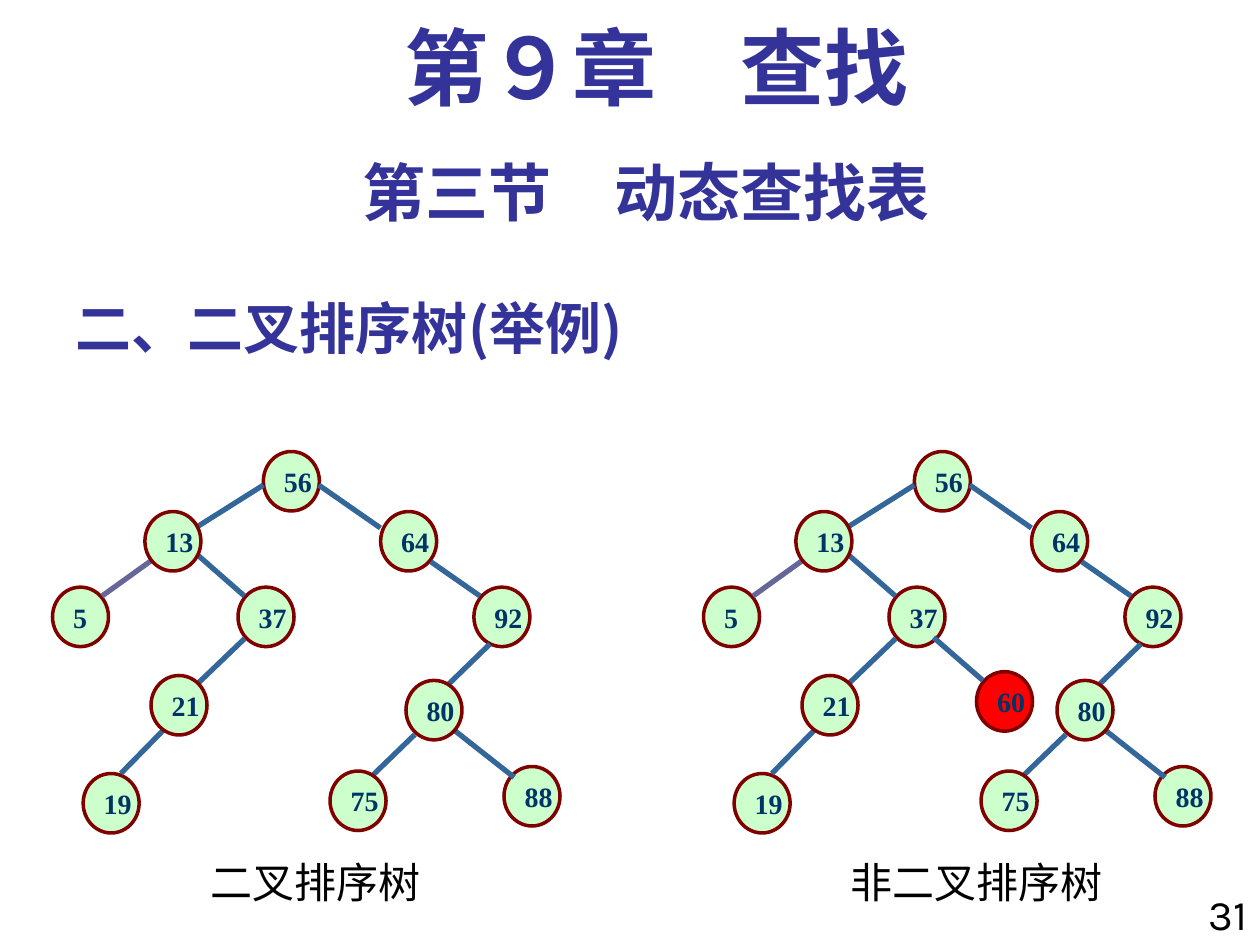
import dataclasses
import typing

import pptx
import pptx.dml.color
import pptx.enum.shapes
import pptx.enum.text
import pptx.oxml.ns
import pptx.util
from lxml import etree

Pt = pptx.util.Pt
Align = pptx.enum.text.PP_ALIGN
Anchor = pptx.enum.text.MSO_ANCHOR
qn = pptx.oxml.ns.qn

HUES = {
    "head": "333399",
    "text": "000000",
    "node": "CCFFCC",
    "wrong": "FF0000",
    "rim": "800000",
    "key": "003366",
    "edge": "336699",
    "pale": "666699",
}
HAN = "Noto Sans CJK SC"
NODE_W, NODE_H = 32, 34
SHIFT = 372


@dataclasses.dataclass(frozen=True)
class Node:
    key: str
    x: float
    y: float
    hue: str = "node"


@dataclasses.dataclass(frozen=True)
class Edge:
    x1: float
    y1: float
    x2: float
    y2: float
    hue: str = "edge"


@dataclasses.dataclass(frozen=True)
class Label:
    text: str
    x: float
    y: float
    w: float
    h: float
    form: dict[str, typing.Any]


BACK = [
    Node("56", 150.5, 258),
    Node("64", 217.5, 292.3),
    Node("5", 30, 335.5),
    Node("92", 270.8, 335.5),
    Node("37", 136, 335.5),
    Node("88", 288, 438),
    Node("19", 47.5, 442),
]
FRONT = [
    Node("80", 232, 388.8),
    Node("21", 86.3, 386),
    Node("13", 82.8, 292.3),
    Node("75", 188.6, 440.6),
]
EDGES = [
    Edge(150.5, 277.2, 111.6, 301.7),
    Edge(86.4, 320.4, 58.3, 340.6, "pale"),
    Edge(182.2, 277.2, 217.4, 301.7),
    Edge(111.6, 316, 139.7, 340.6),
    Edge(139.7, 365, 105.1, 398.2),
    Edge(246.2, 321, 274.3, 340.6),
    Edge(280, 368, 253.4, 393.8),
    Edge(260, 417.6, 293.8, 444.2),
    Edge(97.2, 413.3, 69.1, 442),
    Edge(237, 419.8, 210.2, 445.7),
]
WRONG_NODE = Node("60", 186, 383.8, "wrong")
WRONG_EDGE = Edge(161.5, 364.3, 189.6, 388.8)

CAPTION = {"size": 24, "align": Align.CENTER}
LABELS = [
    Label("31", 672, 504, 48, 42, {"size": 24, "align": Align.RIGHT}),
    Label("第三节　动态查找表", 36, 84, 666, 50,
          {"size": 36, "hue": "head", "bold": True, "align": Align.CENTER}),
    Label("第９章　查找", 48, 12, 654, 60,
          {"size": 48, "hue": "head", "bold": True, "align": Align.CENTER,
           "font": "Times New Roman", "space": 0.9}),
    Label("二叉排序树", 96, 486, 168, 36, CAPTION),
    Label("非二叉排序树", 474, 486, 168, 36, CAPTION),
]


def rgb(hue: str) -> pptx.dml.color.RGBColor:
    return pptx.dml.color.RGBColor.from_string(HUES[hue])


def write(shape: typing.Any, text: str, *, size: float, font: str = "Karla",
          hue: str = "text", bold: bool = False, align: Align = Align.LEFT,
          anchor: Anchor = Anchor.TOP, wrap: bool = True,
          space: float = 1.0) -> None:
    frame = shape.text_frame
    frame.word_wrap = wrap
    frame.auto_size = pptx.enum.text.MSO_AUTO_SIZE.NONE
    frame.vertical_anchor = anchor
    para = frame.paragraphs[0]
    para.alignment = align
    para.line_spacing = space
    para.space_before = Pt(0)
    run = para.add_run()
    run.text = text
    run.font.size = Pt(size)
    run.font.name = font
    run.font.bold = bold
    run.font.color.rgb = rgb(hue)
    asian = etree.SubElement(run.font._element, qn("a:ea"))
    asian.set("typeface", HAN)


def draw_edge(group: typing.Any, edge: Edge, dx: float) -> None:
    line = group.shapes.add_connector(
        pptx.enum.shapes.MSO_CONNECTOR.STRAIGHT,
        Pt(edge.x1 + dx), Pt(edge.y1), Pt(edge.x2 + dx), Pt(edge.y2))
    line.line.color.rgb = rgb(edge.hue)
    line.line.width = Pt(3)
    etree.SubElement(line._element.spPr, qn("a:effectLst"))


def draw_node(group: typing.Any, node: Node, dx: float) -> None:
    shape = group.shapes.add_shape(
        pptx.enum.shapes.MSO_SHAPE.OVAL,
        Pt(node.x + dx), Pt(node.y), Pt(NODE_W), Pt(NODE_H))
    shape.shadow.inherit = False
    shape.fill.solid()
    shape.fill.fore_color.rgb = rgb(node.hue)
    shape.line.color.rgb = rgb("rim")
    shape.line.width = Pt(2)
    write(shape, node.key, size=16, font="Times New Roman", hue="key",
          bold=True, anchor=Anchor.MIDDLE, wrap=False)


def draw_tree(slide: typing.Any, back: list[Node], edges: list[Edge],
              dx: float) -> None:
    group = slide.shapes.add_group_shape()
    for node in back:
        draw_node(group, node, dx)
    for edge in edges:
        draw_edge(group, edge, dx)
    for node in FRONT:
        draw_node(group, node, dx)


def main() -> None:
    deck = pptx.Presentation()
    deck.slide_width, deck.slide_height = Pt(720), Pt(540)
    slide = deck.slides.add_slide(deck.slide_layouts[5])

    title = slide.shapes.title
    title.left, title.top = Pt(36), Pt(156)
    title.width, title.height = Pt(450), Pt(54)
    write(title, "二、二叉排序树(举例)", size=32, font=HAN, hue="head",
          bold=True, anchor=Anchor.BOTTOM)

    for label in LABELS:
        box = slide.shapes.add_textbox(
            Pt(label.x), Pt(label.y), Pt(label.w), Pt(label.h))
        write(box, label.text, **label.form)

    draw_tree(slide, BACK, EDGES, 0)
    draw_tree(slide, BACK + [WRONG_NODE], EDGES + [WRONG_EDGE], SHIFT)
    deck.save("out.pptx")


if __name__ == "__main__":
    main()
